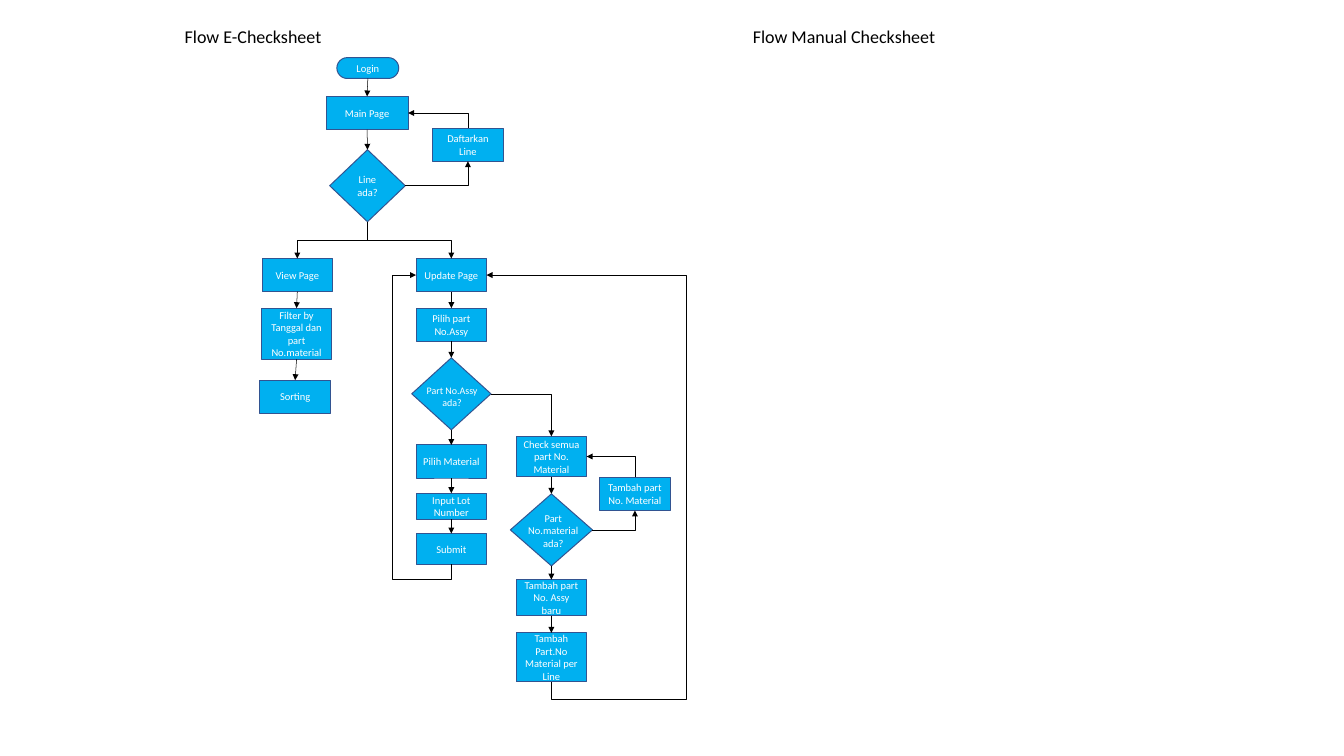
"""Build the checksheet flowchart slide."""
from dataclasses import dataclass
from itertools import pairwise

from lxml.etree import SubElement
from pptx import Presentation
from pptx.dml.color import RGBColor
from pptx.enum.shapes import MSO_CONNECTOR, MSO_SHAPE
from pptx.enum.text import MSO_ANCHOR, MSO_AUTO_SIZE, PP_ALIGN
from pptx.oxml.ns import qn
from pptx.util import Inches, Pt


@dataclass(frozen=True)
class Theme:
    """Colours, font and sizes of the slide."""
    fill: str = "00B0F0"
    outline: str = "325491"
    light: str = "FFFFFF"
    dark: str = "000000"
    font: str = "Calibri"
    heading: float = 18
    label: float = 10.5
    small: float = 10


THEME = Theme()
TOP, LEFT, BOTTOM, RIGHT = range(4)

HEADINGS = [
    ("Flow E-Checksheet", 2.45, 0.3, 2.13, 0.4),
    ("Flow Manual Checksheet", 10.34, 0.3, 2.77, 0.4),
]

STEPS = {
    "main": ("Main Page", 4.53, 1.34, 1.14, 0.46),
    "register": ("Daftarkan Line", 6.01, 1.78, 0.98, 0.46),
    "update": ("Update Page", 5.78, 3.59, 0.98, 0.46),
    "view": ("View Page", 3.64, 3.59, 0.98, 0.46),
    "filter": ("Filter by Tanggal dan part No.material", 3.63, 4.28, 0.98, 0.71),
    "sorting": ("Sorting", 3.61, 5.28, 0.98, 0.46),
    "assy": ("Pilih part No.Assy", 5.78, 4.28, 0.98, 0.46),
    "material": ("Pilih Material", 5.78, 6.18, 0.98, 0.46),
    "lot": ("Input Lot Number", 5.78, 6.85, 0.98, 0.36),
    "submit": ("Submit", 5.78, 7.41, 0.98, 0.43),
    "check": ("Check semua part No. Material", 7.17, 6.06, 0.98, 0.56),
    "new assy": ("Tambah part No. Assy baru", 7.17, 8.05, 0.98, 0.5),
    "per line": ("Tambah Part.No Material per Line", 7.17, 8.79, 0.98, 0.68),
    "add part": ("Tambah part No. Material", 8.33, 6.63, 0.98, 0.46),
}
TERMINALS = {"login": ("Login", 4.68, 0.8, 0.86, 0.29)}
DECISIONS = {
    "line?": ("Line ada?", 4.58, 2.08, 1.05, 1),
    "assy?": ("", 5.72, 4.97, 1.1, 1),
    "material?": ("", 7.09, 6.86, 1.14, 1),
}
QUESTIONS = [
    ("Part No.Assy ada?", 5.78, 5.29, 1, 0.44, THEME.small),
    ("Part No.material ada?", 7.14, 7.06, 1.09, 0.63, THEME.label),
]

CHAINS = [
    ["login", "main", "line?"],
    ["view", "filter", "sorting"],
    ["update", "assy", "assy?", "material", "lot", "submit"],
    ["check", "material?", "new assy", "per line"],
]
ELBOWS = [
    ("line?", BOTTOM, "view", TOP, 3.34, None),
    ("line?", BOTTOM, "update", TOP, 3.34, None),
    ("line?", RIGHT, "register", BOTTOM, None, None),
    ("register", TOP, "main", RIGHT, None, None),
    ("submit", BOTTOM, "update", LEFT, 8.04, 5.45),
    ("per line", BOTTOM, "update", RIGHT, 9.71, 9.53),
    ("add part", TOP, "check", RIGHT, None, None),
    ("assy?", RIGHT, "check", TOP, None, None),
    ("material?", RIGHT, "add part", BOTTOM, None, None),
]


def write(box, text, size=THEME.label, color=THEME.light, anchor=MSO_ANCHOR.MIDDLE, wrap=True):
    """Put centred, formatted text in a shape."""
    frame = box.text_frame
    frame.auto_size = MSO_AUTO_SIZE.NONE
    frame.word_wrap = wrap
    frame.vertical_anchor = anchor
    para = frame.paragraphs[0]
    para.alignment = PP_ALIGN.CENTER
    span = para.add_run()
    span.text = text
    span.font.name = THEME.font
    span.font.size = Pt(size)
    span.font.color.rgb = RGBColor.from_string(color)


def add_node(page, kind, text, *place):
    """Draw one flowchart symbol."""
    box = page.shapes.add_shape(kind, *map(Inches, place))
    box.shadow.inherit = False
    box.fill.solid()
    box.fill.fore_color.rgb = RGBColor.from_string(THEME.fill)
    box.line.color.rgb = RGBColor.from_string(THEME.outline)
    box.line.width = Pt(1)
    if kind == MSO_SHAPE.ROUNDED_RECTANGLE:
        box.adjustments[0] = 0.5
    if text:
        write(box, text)
    return box


def add_link(page, kind, start, start_side, end, end_side):
    """Join two symbols with an arrow."""
    link = page.shapes.add_connector(kind, 0, 0, 0, 0)
    link.begin_connect(start, start_side)
    link.end_connect(end, end_side)
    link.line.color.rgb = RGBColor.from_string(THEME.dark)
    link.line.width = Pt(0.5)
    properties = link._element.spPr
    SubElement(properties.find(qn("a:ln")), qn("a:tailEnd"), type="triangle")
    SubElement(properties, qn("a:effectLst"))
    return link


def bend(link, upright, turn_y, lane_x):
    """Route an elbow arrow; an upright one leaves its symbol vertically."""
    x, y = link.begin_x, link.begin_y
    across, down = link.end_x - x, link.end_y - y
    run, rise = (down, -across) if upright else (across, down)
    link.left = int(x + (across - abs(run)) / 2)
    link.top = int(y + (down - abs(rise)) / 2)
    link.width, link.height = abs(run), abs(rise)
    ratios = []
    if turn_y is not None:
        ratios.append((Inches(turn_y) - y) / run)
    if lane_x is not None:
        ratios.append((x - Inches(lane_x)) / rise)
    frame = link._element.spPr.find(qn("a:xfrm"))
    frame.set("rot", "5400000" if upright else "0")
    frame.set("flipH", str(int(run < 0)))
    frame.set("flipV", str(int(rise < 0)))
    outline = link._element.spPr.find(qn("a:prstGeom"))
    outline.set("prst", f"bentConnector{len(ratios) + 2}")
    guides = outline.find(qn("a:avLst"))
    if guides is None:
        guides = SubElement(outline, qn("a:avLst"))
    for number, ratio in enumerate(ratios, 1):
        SubElement(guides, qn("a:gd"), name=f"adj{number}", fmla=f"val {round(ratio * 100000)}")


def main():
    """Assemble and save the deck."""
    deck = Presentation()
    deck.slide_width, deck.slide_height = Inches(18.67), Inches(10.5)
    page = deck.slides.add_slide(deck.slide_layouts[5])

    for index, (text, *place) in enumerate(HEADINGS):
        left, top, width, height = map(Inches, place)
        box = page.shapes.add_textbox(left, top, width, height) if index else page.shapes.title
        box.left, box.top, box.width, box.height = left, top, width, height
        write(box, text, size=THEME.heading, color=THEME.dark, anchor=MSO_ANCHOR.TOP, wrap=False)

    nodes = {}
    for kind, group in (
        (MSO_SHAPE.ROUNDED_RECTANGLE, TERMINALS),
        (MSO_SHAPE.RECTANGLE, STEPS),
        (MSO_SHAPE.DIAMOND, DECISIONS),
    ):
        for name, node in group.items():
            nodes[name] = add_node(page, kind, *node)
    for text, *place, size in QUESTIONS:
        box = page.shapes.add_textbox(*map(Inches, place))
        write(box, text, size=size, anchor=MSO_ANCHOR.TOP)

    for chain in CHAINS:
        for start, end in pairwise(chain):
            add_link(page, MSO_CONNECTOR.STRAIGHT, nodes[start], BOTTOM, nodes[end], TOP)
    for start, start_side, end, end_side, turn_y, lane_x in ELBOWS:
        link = add_link(page, MSO_CONNECTOR.ELBOW, nodes[start], start_side, nodes[end], end_side)
        bend(link, start_side in (TOP, BOTTOM), turn_y, lane_x)

    deck.save("out.pptx")


if __name__ == "__main__":
    main()
